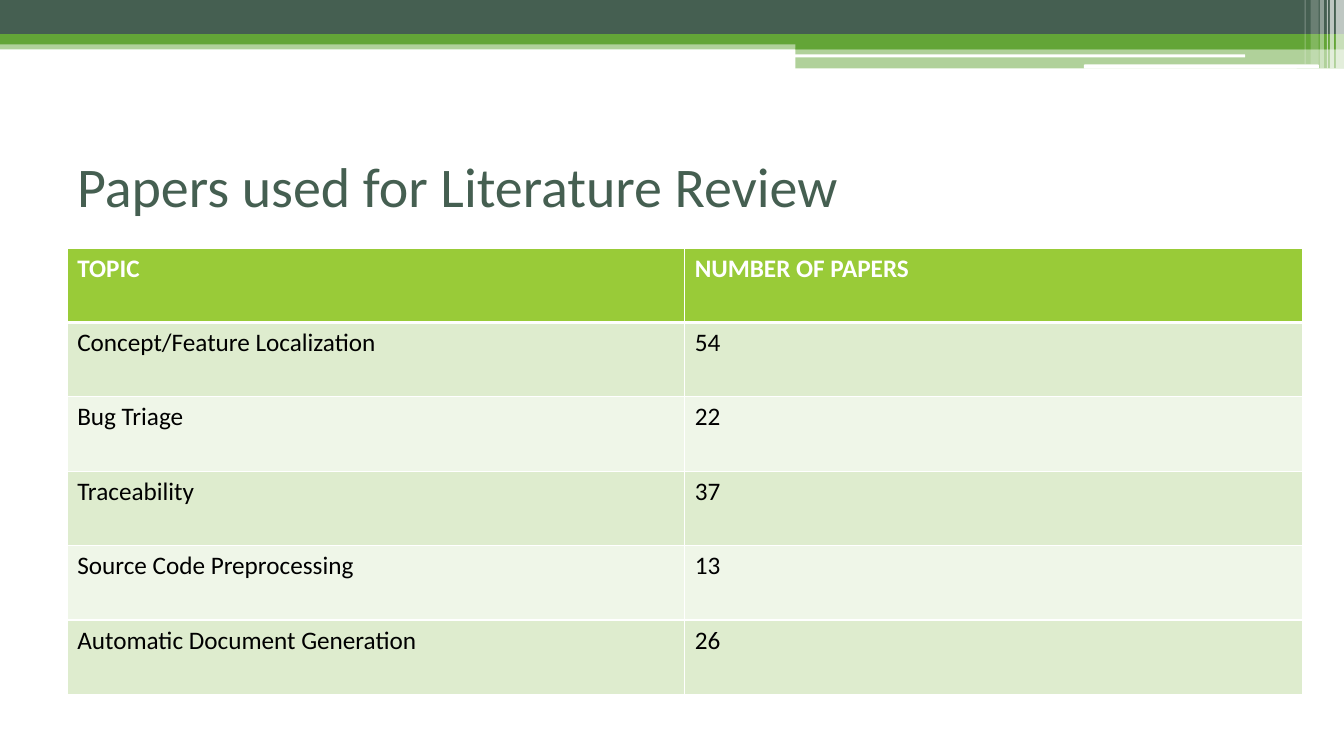
from lxml.etree import SubElement
from pptx import Presentation
from pptx.dml.color import RGBColor
from pptx.enum.shapes import MSO_SHAPE
from pptx.enum.text import MSO_ANCHOR
from pptx.oxml.ns import qn
from pptx.util import Inches, Pt

FONT = "Calibri"
SLATE = RGBColor(0x45, 0x5F, 0x51)
GREEN = RGBColor(0x63, 0xA5, 0x37)
LIME = RGBColor(0x99, 0xCB, 0x38)
PALE = RGBColor(0xDE, 0xEC, 0xCE)
PALEST = RGBColor(0xEF, 0xF6, 0xE8)
WHITE = RGBColor(0xFF, 0xFF, 0xFF)
BLACK = RGBColor(0x00, 0x00, 0x00)

# Banner parts: left, top, width, height as percent of the banner; colour, opacity percent
BANDS = [
    (0, 58.8, 100, 13.2, GREEN, 50),
    (0, 0, 100, 50, SLATE, 100),
    (0, 50, 100, 14.7, GREEN, 100),
    (59.19, 57.4, 40.81, 14.7, GREEN, 100),
    (59.19, 70.6, 40.81, 29.4, GREEN, 50),
]
LINES = [
    (59.11, 79.4, 33.53, 4.4, WHITE, 100),
    (80.65, 94.1, 17.48, 5.9, WHITE, 100),
]
STRIPES = [
    (99.4, 0, 0.6, 100, WHITE, 65),
    (98.95, 0, 0.3, 100, WHITE, 65),
    (98.72, 0, 0.08, 100, WHITE, 60),
    (98.2, 0, 0.3, 100, WHITE, 40),
    (97.52, 0, 0.6, 94.1, WHITE, 20),
    (97.07, 0, 0.08, 94.1, WHITE, 30),
]
PAPERS = [
    ("TOPIC", "NUMBER OF PAPERS"),
    ("Concept/Feature Localization", "54"),
    ("Bug Triage", "22"),
    ("Traceability", "37"),
    ("Source Code Preprocessing", "13"),
    ("Automatic Document Generation", "26"),
]


def add_bar(slide, kind, box, part):
    """Place one borderless bar inside the banner box."""
    left, top, width, height = box
    x, y, across, down, color, opacity = part
    bar = slide.shapes.add_shape(
        kind, int(left + width * x / 100), int(top + height * y / 100),
        int(width * across / 100), int(height * down / 100))
    bar.shadow.inherit = False
    bar.line.fill.background()
    bar.fill.solid()
    bar.fill.fore_color.rgb = color
    if opacity < 100:
        color_element = bar.fill._xPr.find(qn("a:solidFill"))[0]
        SubElement(color_element, qn("a:alpha"), val=str(opacity * 1000))


def add_banner(slide, box):
    """Draw the layered bands, thin lines and corner stripes."""
    for part in BANDS:
        add_bar(slide, MSO_SHAPE.RECTANGLE, box, part)
    for part in LINES:
        add_bar(slide, MSO_SHAPE.ROUNDED_RECTANGLE, box, part)
    for part in STRIPES:
        add_bar(slide, MSO_SHAPE.RECTANGLE, box, part)


def style_text(paragraph, size, color, bold=False):
    """Set the font of a whole paragraph."""
    font = paragraph.font
    font.name, font.size, font.bold = FONT, Pt(size), bold
    font.color.rgb = color


def add_title(slide, box):
    """Write the slide title, centred vertically in its box."""
    frame = slide.shapes.add_textbox(*box).text_frame
    frame.word_wrap = True
    frame.vertical_anchor = MSO_ANCHOR.MIDDLE
    paragraph = frame.paragraphs[0]
    paragraph.text = "Papers used for Literature Review"
    style_text(paragraph, 40, SLATE)


def add_borders(cell, top, bottom):
    """Give a cell white borders, with top and bottom widths in points."""
    properties = cell._tc.get_or_add_tcPr()
    for side, points in (("L", 1), ("R", 1), ("T", top), ("B", bottom)):
        line = SubElement(properties, qn(f"a:ln{side}"), w=str(Pt(points)))
        fill = SubElement(line, qn("a:solidFill"))
        SubElement(fill, qn("a:srgbClr"), val=str(WHITE))


def add_papers_table(slide, box):
    """Fill the table of topics and paper counts."""
    width, height = box[2:]
    table = slide.shapes.add_table(len(PAPERS), len(PAPERS[0]), *box).table
    for column in table.columns:
        column.width = width // len(PAPERS[0])
    for index, values in enumerate(PAPERS):
        header = index == 0
        table.rows[index].height = height // len(PAPERS)
        for cell, value in zip(table.rows[index].cells, values):
            add_borders(cell, 3 if index == 1 else 1, 3 if header else 1)
            cell.fill.solid()
            cell.fill.fore_color.rgb = LIME if header else (PALEST, PALE)[index % 2]
            cell.text = value
            style_text(cell.text_frame.paragraphs[0], 18,
                       WHITE if header else BLACK, header)


def main():
    """Build and save the presentation."""
    presentation = Presentation()
    presentation.slide_width = Inches(13.33)
    presentation.slide_height = Inches(7.5)
    slide = presentation.slides.add_slide(presentation.slide_layouts[6])

    def share(left, top, width, height):
        """Turn percentages of the slide into a box."""
        across, down = presentation.slide_width, presentation.slide_height
        return (int(across * left / 100), int(down * top / 100),
                int(across * width / 100), int(down * height / 100))

    add_banner(slide, share(0, 0, 100, 9.07))
    add_papers_table(slide, share(5, 32.8, 91.9, 59.07))
    add_title(slide, share(5, 16.67, 90, 15.6))
    presentation.save("out.pptx")


if __name__ == "__main__":
    main()
